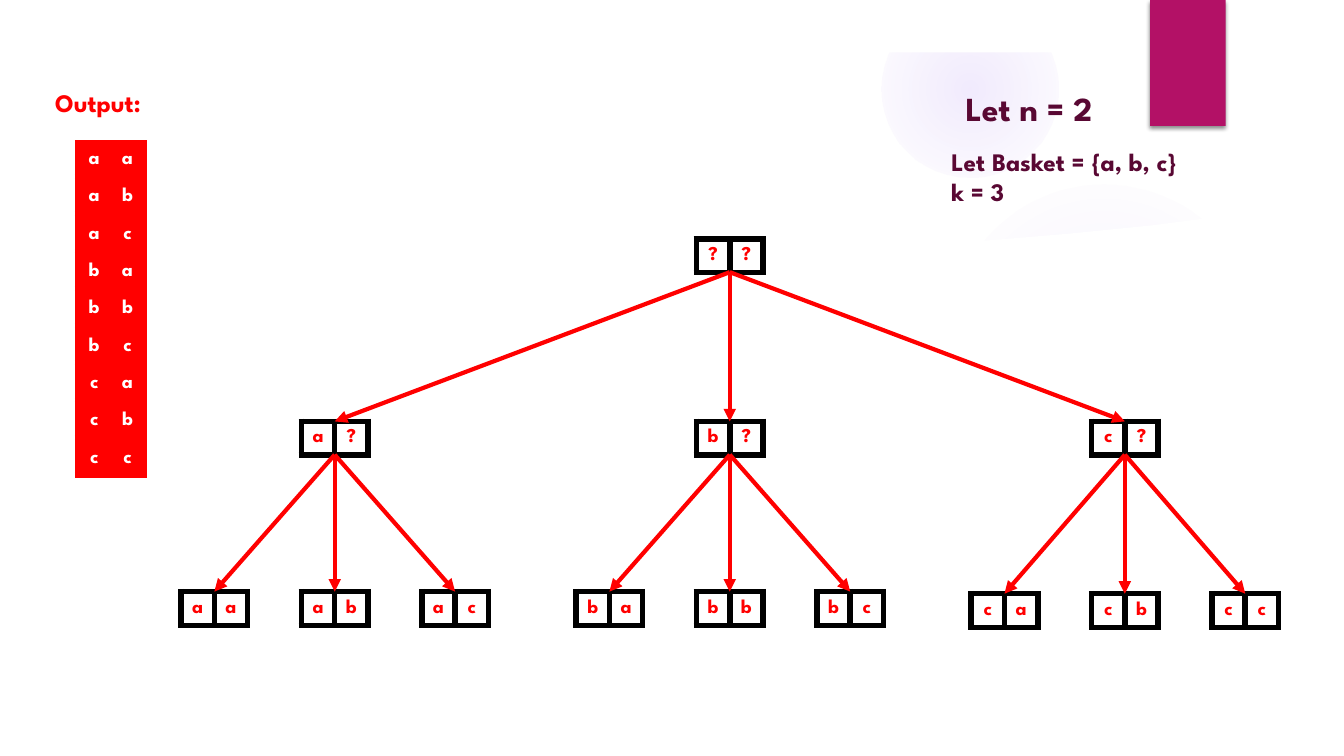
"""Build a slide showing the tree of all two-letter picks from a basket of three."""
from itertools import product

from pptx import Presentation
from pptx.dml.color import RGBColor
from pptx.enum.shapes import MSO_CONNECTOR, MSO_SHAPE
from pptx.enum.text import MSO_ANCHOR, MSO_AUTO_SIZE, PP_ALIGN
from pptx.oxml import parse_xml
from pptx.oxml.ns import nsdecls, qn
from pptx.util import Pt

rgb = RGBColor.from_string
NS = nsdecls("a")
RED, WHITE, BLACK, PLUM, MAGENTA = "FF0000", "FFFFFF", "000000", "590833", "B31166"
BASKET = "abc"


def write(para, text, size, colour):
    """Add one bold run to a paragraph."""
    span = para.add_run()
    span.text = text
    span.font.name = "League Spartan"
    span.font.size = Pt(size)
    span.font.bold = True
    span.font.color.rgb = rgb(colour)


def add_pair(page, letters, left, top, ink, border, fill=None):
    """Add a one-row table with one letter in each cell."""
    table = page.shapes.add_table(1, 2, Pt(left), Pt(top), Pt(47.6), Pt(21.6)).table
    table.first_row = table.horz_banding = False
    for column, letter in enumerate(letters):
        table.columns[column].width = Pt(23.8)
        cell = table.cell(0, column)
        for side in ("lnL", "lnR", "lnT", "lnB"):
            cell._tc.get_or_add_tcPr().append(parse_xml(
                f'<a:{side} {NS} w="56900"><a:solidFill><a:srgbClr val="{border}"/>'
                f'</a:solidFill></a:{side}>'))
        if fill:
            cell.fill.solid()
            cell.fill.fore_color.rgb = rgb(fill)
        else:
            cell.fill.background()
        cell.vertical_anchor = MSO_ANCHOR.MIDDLE
        para = cell.text_frame.paragraphs[0]
        para.alignment = PP_ALIGN.CENTER
        write(para, letter, 14, ink)


deck = Presentation()
deck.slide_width, deck.slide_height = Pt(960), Pt(540)
page = deck.slides.add_slide(deck.slide_layouts[6])

for left, top, size, alpha in [(677.5, 131.8, 221.8, 7), (630, 0.7, 126, 14)]:
    glow = page.shapes.add_shape(MSO_SHAPE.OVAL, Pt(left), Pt(top), Pt(size), Pt(size))
    glow.shadow.inherit = False
    glow.line.fill.background()
    glow.fill.solid()
    properties = glow._element.spPr
    properties.replace(properties.find(qn("a:solidFill")), parse_xml(
        f'<a:gradFill {NS}><a:gsLst>'
        f'<a:gs pos="0"><a:srgbClr val="9B6BF2"><a:alpha val="{alpha * 1000}"/></a:srgbClr></a:gs>'
        '<a:gs pos="100000"><a:srgbClr val="9B6BF2"><a:alpha val="0"/></a:srgbClr></a:gs>'
        '</a:gsLst><a:path path="circle">'
        '<a:fillToRect l="50000" t="50000" r="50000" b="50000"/></a:path></a:gradFill>'))

outline = page.shapes.build_freeform(Pt(36), Pt(147), scale=1.0)
outline.add_line_segments([(Pt(x), Pt(y)) for x, y in [
    (179, 163.5), (320, 173.5), (472, 178.5), (624, 176.4), (703, 172), (763, 167),
    (823, 161), (884, 153), (924, 147), (924, 504), (36, 504)]])
panel = outline.convert_to_shape()
band = page.shapes.add_shape(MSO_SHAPE.RECTANGLE, 0, 0, Pt(960), Pt(37.4))
ribbon = page.shapes.add_shape(MSO_SHAPE.RECTANGLE, Pt(821.5), 0, Pt(54), Pt(90))
for shape, colour in [(panel, WHITE), (band, WHITE), (ribbon, MAGENTA)]:
    shape.shadow.inherit = False
    shape.line.fill.background()
    shape.fill.solid()
    shape.fill.fore_color.rgb = rgb(colour)
ribbon._element.spPr.find(qn("a:effectLst")).append(parse_xml(
    f'<a:outerShdw {NS} blurRad="38100" dist="25400" dir="5400000" rotWithShape="0">'
    '<a:srgbClr val="000000"><a:alpha val="45000"/></a:srgbClr></a:outerShdw>'))

for left, top, width, height, size, colour, lines in [
        (682.6, 59, 136, 36, 24, PLUM, ["Let n = 2"]),
        (672.5, 100.8, 237, 50.4, 18, PLUM, ["Let Basket = {a, b, c}", "k = 3"]),
        (32.4, 59, 92, 29, 18, RED, ["Output:"])]:
    frame = page.shapes.add_textbox(Pt(left), Pt(top), Pt(width), Pt(height)).text_frame
    frame.word_wrap = False
    frame.auto_size = MSO_AUTO_SIZE.SHAPE_TO_FIT_TEXT
    for number, line in enumerate(lines):
        para = frame.add_paragraph() if number else frame.paragraphs[0]
        write(para, line, size, colour)

root_x, root_y, branch_y = 521.3, 170.6, 301
nodes = [("??", root_x, root_y)]
arrows = []
for i, first in enumerate(BASKET):
    branch_x = root_x + (i - 1) * 282.2
    leaf_y = 424.1 if first == "c" else 422.6
    nodes.append((first + "?", branch_x, branch_y))
    arrows.append((root_x, root_y + 23.8, branch_x, branch_y))
    for j, second in enumerate(BASKET):
        leaf_x = branch_x + (j - 1) * 86
        nodes.append((first + second, leaf_x, leaf_y))
        arrows.append((branch_x, branch_y + 23.8, leaf_x, leaf_y))

for letters, center, top in nodes:
    add_pair(page, letters, center - 23.8, top, RED, BLACK)

for ends in arrows:
    arrow = page.shapes.add_connector(MSO_CONNECTOR.STRAIGHT, *map(Pt, ends))
    arrow.line.color.rgb = rgb(RED)
    arrow.line.width = Pt(3)
    properties = arrow._element.spPr
    properties.find(qn("a:ln")).append(parse_xml(f'<a:tailEnd {NS} type="triangle"/>'))
    properties.append(parse_xml(f"<a:effectLst {NS}/>"))

for row, letters in enumerate(product(BASKET, repeat=2)):
    add_pair(page, letters, 55.4, 102.2 + row * 26.64, WHITE, RED, RED)

deck.save("out.pptx")
